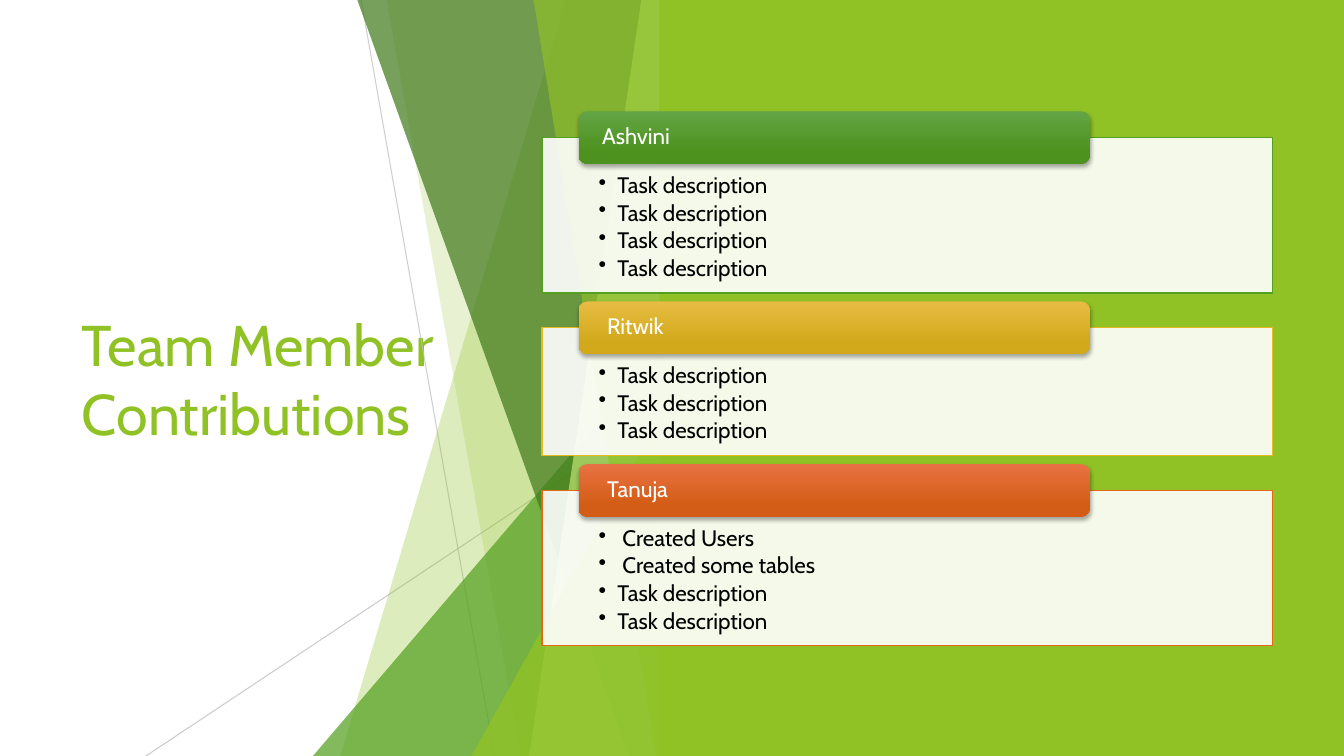
"""Build the team member contributions slide."""
from lxml import etree
from pptx import Presentation
from pptx.dml.color import RGBColor
from pptx.enum.shapes import MSO_CONNECTOR, MSO_SHAPE
from pptx.enum.text import MSO_ANCHOR, MSO_AUTO_SIZE, PP_ALIGN
from pptx.oxml.ns import qn
from pptx.util import Pt

STRAIGHT = MSO_CONNECTOR.STRAIGHT
RECT, ROUNDED, TRIANGLE = MSO_SHAPE.RECTANGLE, MSO_SHAPE.ROUNDED_RECTANGLE, MSO_SHAPE.ISOSCELES_TRIANGLE
TOP, MIDDLE, LEFT = MSO_ANCHOR.TOP, MSO_ANCHOR.MIDDLE, PP_ALIGN.LEFT
PX = 9525
W, H = 1280, 720
FACET_RIGHT = 640
FONT = "Cabin"
COLORS = {
    "white": "FFFFFF", "black": "000000", "gray": "BFBFBF",
    "lime": "90C226", "green": "54A021", "forest": "3F7819", "pale": "C0E474",
    "gold": "E6B91E", "orange": "E76618",
    "green_top": "63A545", "green_end": "4D921E",
    "gold_top": "E7BC43", "gold_end": "D2A91B",
    "orange_top": "E87242", "orange_end": "D35D16",
}


def paint(fmt, color, alpha=100):
    fmt.solid()
    fmt.fore_color.rgb = RGBColor.from_string(COLORS[color])
    if alpha < 100:
        clr = fmt._xPr.find(qn("a:solidFill"))[0]
        etree.SubElement(clr, qn("a:alpha")).set("val", str(alpha * 1000))


def write(s, lines, color, size, anchor, insets, spacing, after):
    tf = s.text_frame
    frame = {"word_wrap": True, "auto_size": MSO_AUTO_SIZE.NONE, "vertical_anchor": anchor}
    sides = ("margin_left", "margin_top", "margin_right", "margin_bottom")
    frame.update(zip(sides, (v * PX for v in insets)))
    for name, value in frame.items():
        setattr(tf, name, value)
    for i, text in enumerate(lines):
        p = tf.add_paragraph() if i else tf.paragraphs[0]
        para = {"alignment": LEFT, "line_spacing": spacing, "space_before": Pt(0), "space_after": Pt(after)}
        for name, value in para.items():
            setattr(p, name, value)
        r = p.add_run()
        r.text = text
        for name, value in {"name": FONT, "size": Pt(size), "bold": False}.items():
            setattr(r.font, name, value)
        paint(r.font.fill, color)


prs = Presentation()
prs.slide_width, prs.slide_height = W * PX, H * PX
slide = prs.slides.add_slide(prs.slide_layouts[5])
shapes = slide.shapes

title = shapes.title
for name, value in {"left": 68, "top": 145, "width": 372, "height": 430}.items():
    setattr(title, name, value * PX)
write(title, ["Team Member Contributions"], "lime", 41, MIDDLE, (10, 5, 10, 5), 1.0, 0)

for x1, y1, x2, y2, alpha in [(344, 0, 471, H, 75), (FACET_RIGHT, 387, 139, H, 80)]:
    c = shapes.add_connector(STRAIGHT, x1 * PX, y1 * PX, x2 * PX, y2 * PX)
    c.line.width = Pt(0.75)
    paint(c.line.fill, "gray", alpha)
    etree.SubElement(c._element.spPr, qn("a:effectLst"))

FACETS = [
    ("band", 539, 324, "lime", 30),
    ("band", 368, 496, "lime", 20),
    ("triangle", 298, 320, "green", 72),
    ("band", 340, 599, "forest", 70),
    ("band", 611, 504, "pale", 70),
    ("band", 508, 625, "lime", 65),
    ("triangle", 449, 377, "lime", 80),
]
for kind, a, b, color, alpha in FACETS:
    if kind == "band":
        fb = shapes.build_freeform(a, -1, scale=PX)
        fb.add_line_segments([(FACET_RIGHT, -1), (FACET_RIGHT, H), (b, H)], close=True)
        s = fb.convert_to_shape()
    else:
        s = shapes.add_shape(TRIANGLE, a * PX, b * PX, (FACET_RIGHT - a) * PX, (H - b) * PX)
        s.adjustments[0] = 1
    paint(s.fill, color, alpha)
    s.line.fill.background()
    s.shadow.inherit = False

panel = shapes.add_shape(RECT, 628 * PX, 0, 652 * PX, H * PX)
paint(panel.fill, "lime")
panel.line.fill.background()
panel.shadow.inherit = False

TASK = "Task description"
MEMBERS = [
    ("Ashvini", "green", [TASK] * 4),
    (" Ritwik", "gold", [TASK] * 3),
    (" Tanuja", "orange", [" Created Users", " Created some tables", TASK, TASK]),
]
y = 131
for member, color, tasks in MEMBERS:
    h = 44 + 26 * len(tasks)
    box = shapes.add_shape(RECT, 516 * PX, y * PX, 696 * PX, h * PX)
    paint(box.fill, "white", 90)
    paint(box.line.fill, color)
    box.line.width = Pt(1)
    box.shadow.inherit = False
    write(box, tasks, "black", 16, TOP, (54, 35, 54, 12), 0.9, 2.4)
    for p in box.text_frame.paragraphs:
        pPr = p._p.get_or_add_pPr()
        pPr.set("marL", str(18 * PX))
        pPr.set("indent", str(-18 * PX))
        etree.SubElement(pPr, qn("a:buChar")).set("char", "•")

    tab = shapes.add_shape(ROUNDED, 551 * PX, (y - 25) * PX, 487 * PX, 50 * PX)
    tab.fill.gradient()
    tab.fill.gradient_angle = 270
    for stop, part, pos in zip(tab.fill.gradient_stops, ("top", "end"), (0, 0.78)):
        stop.color.rgb = RGBColor.from_string(COLORS[f"{color}_{part}"])
        stop.position = pos
    tab.line.fill.background()
    tab.shadow.inherit = False
    effects = tab._element.spPr.find(qn("a:effectLst"))
    shadow = etree.SubElement(effects, qn("a:outerShdw"))
    for name, value in {"blurRad": Pt(3), "dist": Pt(2), "dir": 5400000, "rotWithShape": 0}.items():
        shadow.set(name, str(int(value)))
    clr = etree.SubElement(shadow, qn("a:srgbClr"), val=COLORS["black"])
    etree.SubElement(clr, qn("a:alpha"), val="35000")
    write(tab, [member], "white", 16, MIDDLE, (20, 0, 20, 0), 0.9, 0)
    y += h + 33

prs.save("out.pptx")
